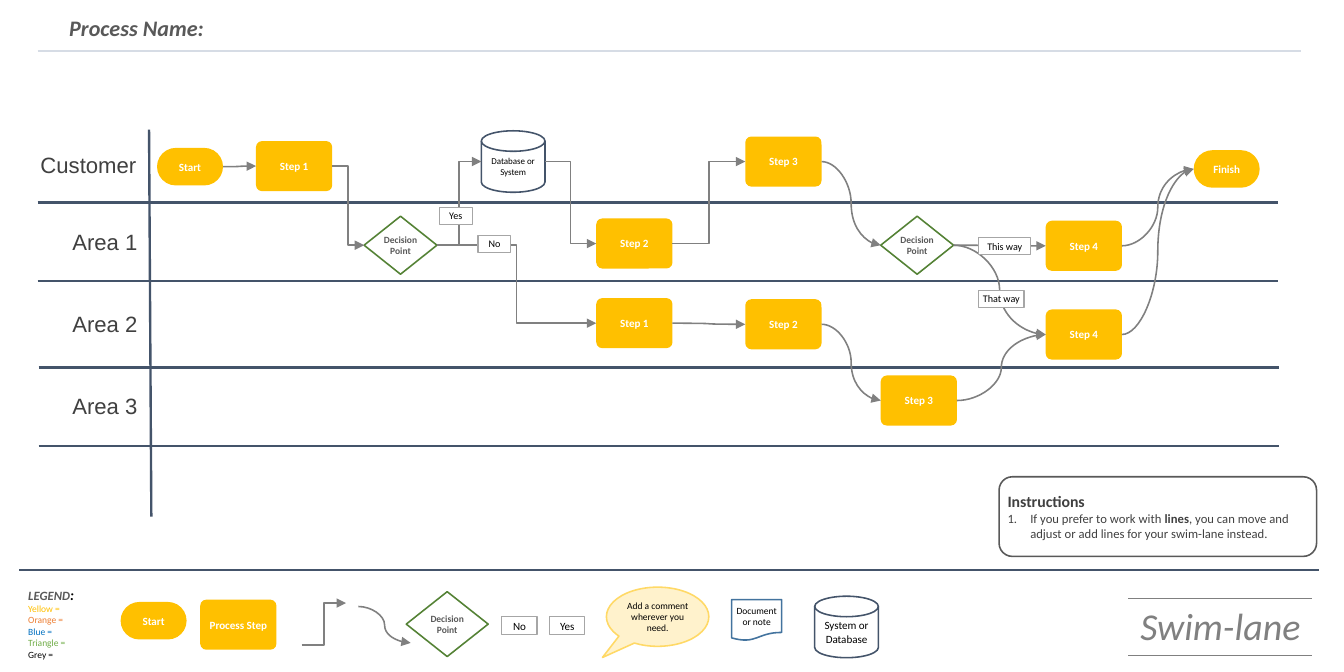
from lxml import etree
from pptx import Presentation
from pptx.dml.color import RGBColor
from pptx.enum import shapes, text
from pptx.oxml import ns
from pptx.util import Inches, Pt

AMBER = RGBColor(0xFF, 0xC0, 0x00)
CREAM = RGBColor(0xFF, 0xF2, 0xCC)
SAND = RGBColor(0xFF, 0xD9, 0x66)
ORANGE = RGBColor(0xED, 0x7D, 0x31)
BLUE = RGBColor(0x00, 0x70, 0xC0)
STEEL = RGBColor(0x43, 0x73, 0x9E)
NAVY = RGBColor(0x44, 0x54, 0x6A)
LIME = RGBColor(0x70, 0xAD, 0x47)
GREEN = RGBColor(0x54, 0x82, 0x35)
PALE = RGBColor(0xD6, 0xDC, 0xE5)
SILVER = RGBColor(0xA6, 0xA6, 0xA6)
GREY = RGBColor(0x80, 0x80, 0x80)
DIM = RGBColor(0x59, 0x59, 0x59)
DARK = RGBColor(0x40, 0x40, 0x40)
BLACK = RGBColor(0, 0, 0)
WHITE = RGBColor(0xFF, 0xFF, 0xFF)

CM_PER_INCH = 2.54
PRESET = shapes.MSO_SHAPE
LINK = shapes.MSO_CONNECTOR
ALIGN = text.PP_ALIGN
GROW = text.MSO_AUTO_SIZE.SHAPE_TO_FIT_TEXT


def add_span(para, words, size, color, bold=False, italic=False, font="Calibri"):
    span = para.add_run()
    span.text = words
    span.font.name = font
    span.font.size = Pt(size)
    span.font.bold = bold
    span.font.italic = italic
    span.font.color.rgb = color


def set_frame(shape, inset, anchor=text.MSO_ANCHOR.MIDDLE):
    frame = shape.text_frame
    frame.word_wrap = True
    frame.vertical_anchor = anchor
    frame.margin_left = frame.margin_right = Inches(inset)
    frame.margin_top = frame.margin_bottom = Inches(inset)
    return frame


def add_box(page, preset, place, fill=None, line=None, weight=1, adjust=()):
    box = page.shapes.add_shape(preset, *map(Inches, place))
    box.shadow.inherit = False
    for index, value in enumerate(adjust):
        box.adjustments[index] = value
    if fill is None:
        box.fill.background()
    else:
        box.fill.solid()
        box.fill.fore_color.rgb = fill
    if line is None:
        box.line.fill.background()
    else:
        box.line.color.rgb = line
        box.line.width = Pt(weight)
    return box


def write_centred(box, words, size, color, bold=False, inset=0.02):
    para = set_frame(box, inset).paragraphs[0]
    para.alignment = ALIGN.CENTER
    add_span(para, words, size, color, bold)
    return box


def add_step(page, left, top, words):
    box = add_box(page, PRESET.ROUNDED_RECTANGLE, (left, top, 0.67, 0.44), AMBER, adjust=[0.12])
    return write_centred(box, words, 7, WHITE, True)


def add_terminal(page, left, top, words):
    box = add_box(page, PRESET.ROUNDED_RECTANGLE, (left, top, 0.58, 0.33), AMBER, adjust=[0.5])
    return write_centred(box, words, 7, WHITE, True)


def add_decision(page, left, top, width=0.64, height=0.51):
    box = add_box(page, PRESET.DIAMOND, (left, top, width, height), line=GREEN)
    return write_centred(box, "Decision Point", 6, DIM, True, 0)


def add_database(page, left, top, words, size):
    box = add_box(page, PRESET.FLOWCHART_MAGNETIC_DISK, (left, top, 0.56, 0.54), WHITE, NAVY)
    return write_centred(box, words, size, BLACK, inset=0.01)


def add_label(page, left, top, width, height, words, size):
    box = add_box(page, PRESET.RECTANGLE, (left, top, width, height), WHITE, SILVER, 0.75)
    write_centred(box, words, size, BLACK)
    box.text_frame.vertical_anchor = text.MSO_ANCHOR.TOP
    box.text_frame.auto_size = GROW


def add_line(page, kind, start, end, color, weight=1, arrow=False):
    """Draw a connector between two points given in EMU."""
    line = page.shapes.add_connector(kind, *start, *end)
    line.line.color.rgb = color
    line.line.width = Pt(weight)
    if arrow:
        etree.SubElement(line.line._get_or_add_ln(), ns.qn("a:tailEnd"), type="triangle")
    etree.SubElement(line._element.spPr, ns.qn("a:effectLst"))
    return line


def add_rule(page, x1, y1, x2, y2, color, weight):
    add_line(page, LINK.STRAIGHT, (Inches(x1), Inches(y1)), (Inches(x2), Inches(y2)), color, weight)


def join(page, kind, source, target):
    """Run an arrow from the right side of source to the left side of target."""
    start = source.left + source.width, source.top + source.height // 2
    end = target.left, target.top + target.height // 2
    arrow = add_line(page, kind, start, end, GREY, arrow=True)
    # The disk numbers its connection sites differently, so its ends stay free.
    if source.auto_shape_type != PRESET.FLOWCHART_MAGNETIC_DISK:
        arrow.begin_connect(source, 3)
    if target.auto_shape_type != PRESET.FLOWCHART_MAGNETIC_DISK:
        arrow.end_connect(target, 1)


def add_textbox(page, place, inset=None):
    box = page.shapes.add_textbox(*map(Inches, place))
    frame = box.text_frame
    if inset is not None:
        set_frame(box, inset, text.MSO_ANCHOR.TOP)
    frame.word_wrap = True
    frame.auto_size = GROW
    return frame


def add_lanes(page):
    for left, y in ((0.33, 1.78), (0.33, 2.47), (0.34, 3.23), (0.34, 3.92)):
        add_rule(page, left, y, left + 10.9, y, NAVY, 1.5)
    add_rule(page, 1.31, 1.14, 1.33, 4.54, NAVY, 1.5)
    lanes = (("Customer", 0.27, 1.29), ("Area 1", 0.28, 1.97),
             ("Area 2", 0.28, 2.69), ("Area 3", 0.28, 3.41))
    for name, left, top in lanes:
        para = add_textbox(page, (left, top, 0.97, 0.32), 0.04).paragraphs[0]
        para.alignment = ALIGN.RIGHT
        add_span(para, name, 14, DARK, font="Arial")


def add_flow(page):
    start = add_terminal(page, 1.38, 1.3, "Start")
    finish = add_terminal(page, 10.49, 1.32, "Finish")
    first = add_step(page, 2.25, 1.24, "Step 1")
    database = add_database(page, 4.23, 1.15, "Database or System", 5.7)
    second = add_step(page, 5.24, 1.92, "Step 2")
    third = add_step(page, 6.55, 1.2, "Step 3")
    fourth = add_step(page, 9.19, 1.94, "Step 4")
    area_first = add_step(page, 5.24, 2.62, "Step 1")
    area_second = add_step(page, 6.55, 2.63, "Step 2")
    area_third = add_step(page, 7.74, 3.3, "Step 3")
    area_fourth = add_step(page, 9.19, 2.72, "Step 4")
    yes_no = add_decision(page, 3.2, 1.9)
    which_way = add_decision(page, 7.74, 1.9)

    for source, target in ((start, first), (area_first, area_second), (area_second, area_third),
                           (area_third, area_fourth), (third, which_way), (which_way, fourth),
                           (which_way, area_fourth), (fourth, finish), (area_fourth, finish)):
        join(page, LINK.CURVE, source, target)
    for source, target in ((first, yes_no), (yes_no, database), (yes_no, area_first),
                           (database, second), (second, third)):
        join(page, LINK.ELBOW, source, target)

    for words, left, top, width in (("Yes", 3.86, 1.82, 0.29), ("No", 4.2, 2.07, 0.29),
                                    ("This way", 8.6, 2.09, 0.46), ("That way", 8.6, 2.55, 0.4)):
        add_label(page, left, top, width, 0.15, words, 6.4)


def add_legend(page):
    add_rule(page, 0.17, 5.01, 11.59, 5.01, NAVY, 1)
    frame = add_textbox(page, (0.15, 5.1, 1.54, 0.76))
    add_span(frame.paragraphs[0], "LEGEND", 8, DIM, True, True)
    add_span(frame.paragraphs[0], ":", 9, BLACK, True, True)
    for name, color in (("Yellow", AMBER), ("Orange", ORANGE), ("Blue", BLUE),
                        ("Triangle", LIME), ("Grey", BLACK)):
        add_span(frame.add_paragraph(), f"{name} =", 6, color)

    add_terminal(page, 1.06, 5.29, "Start")
    add_step(page, 1.76, 5.27, "Process Step")
    for kind, x1, y1, x2, y2 in ((LINK.ELBOW, 2.65, 5.67, 3.04, 5.3),
                                 (LINK.CURVE, 3.15, 5.33, 3.61, 5.65)):
        add_line(page, kind, (Inches(x1), Inches(y1)), (Inches(x2), Inches(y2)), GREY, arrow=True)
    add_decision(page, 3.57, 5.2, 0.72, 0.57)
    for words, left in (("No", 4.41), ("Yes", 4.83)):
        add_label(page, left, 5.42, 0.31, 0.16, words, 7)
    comment = add_box(page, PRESET.OVAL_CALLOUT, (5.33, 5.16, 0.9, 0.52), CREAM, SAND,
                      adjust=[-0.54, 0.69])
    write_centred(comment, "Add a comment wherever you need.", 6, BLACK)
    document = add_box(page, PRESET.FLOWCHART_DOCUMENT, (6.43, 5.27, 0.44, 0.36), line=STEEL)
    write_centred(document, "Document or note", 6, BLACK)
    add_database(page, 7.16, 5.24, "System or Database", 7)


def add_instructions(page):
    box = add_box(page, PRESET.ROUNDED_RECTANGLE, (8.78, 4.19, 2.79, 0.7), WHITE, DIM)
    frame = set_frame(box, 0.04)
    heading, advice = frame.paragraphs[0], frame.add_paragraph()
    heading.alignment = advice.alignment = ALIGN.LEFT
    add_span(heading, "Instructions", 10, DARK, True)
    properties = advice._p.get_or_add_pPr()
    properties.set("marL", str(Inches(0.2)))
    properties.set("indent", str(Inches(-0.2)))
    etree.SubElement(properties, ns.qn("a:buAutoNum"), type="arabicPeriod")
    add_span(advice, "If you prefer to work with ", 8, DARK)
    add_span(advice, "lines", 8, DARK, True)
    add_span(advice, ", you can move and adjust or add lines for your swim-lane instead.", 8, DARK)


def add_title_table(page):
    table = page.shapes.add_table(1, 1, *map(Inches, (9.91, 5.26, 1.63, 0.5))).table
    table.first_row = table.horz_banding = False
    cell = table.cell(0, 0)
    para = cell.text_frame.paragraphs[0]
    para.alignment = ALIGN.CENTER
    add_span(para, "Swim-lane", 24, GREY, italic=True)
    properties = cell._tc.get_or_add_tcPr()
    for side, color in (("L", WHITE), ("R", WHITE), ("T", GREY), ("B", GREY)):
        border = etree.SubElement(properties, ns.qn(f"a:ln{side}"), w=str(Pt(1)))
        solid = etree.SubElement(border, ns.qn("a:solidFill"))
        etree.SubElement(solid, ns.qn("a:srgbClr"), val=str(color))
    cell.fill.background()


def main():
    deck = Presentation()
    deck.slide_width, deck.slide_height = Inches(30 / CM_PER_INCH), Inches(15 / CM_PER_INCH)
    page = deck.slides.add_slide(deck.slide_layouts[6])
    title = add_textbox(page, (0.51, 0.08, 2.99, 0.34))
    add_span(title.paragraphs[0], "Process Name:", 14, DIM, True, True)
    add_rule(page, 0.33, 0.45, 11.43, 0.45, PALE, 1.5)
    add_lanes(page)
    add_flow(page)
    add_legend(page)
    add_instructions(page)
    add_title_table(page)
    deck.save("out.pptx")


if __name__ == "__main__":
    main()
